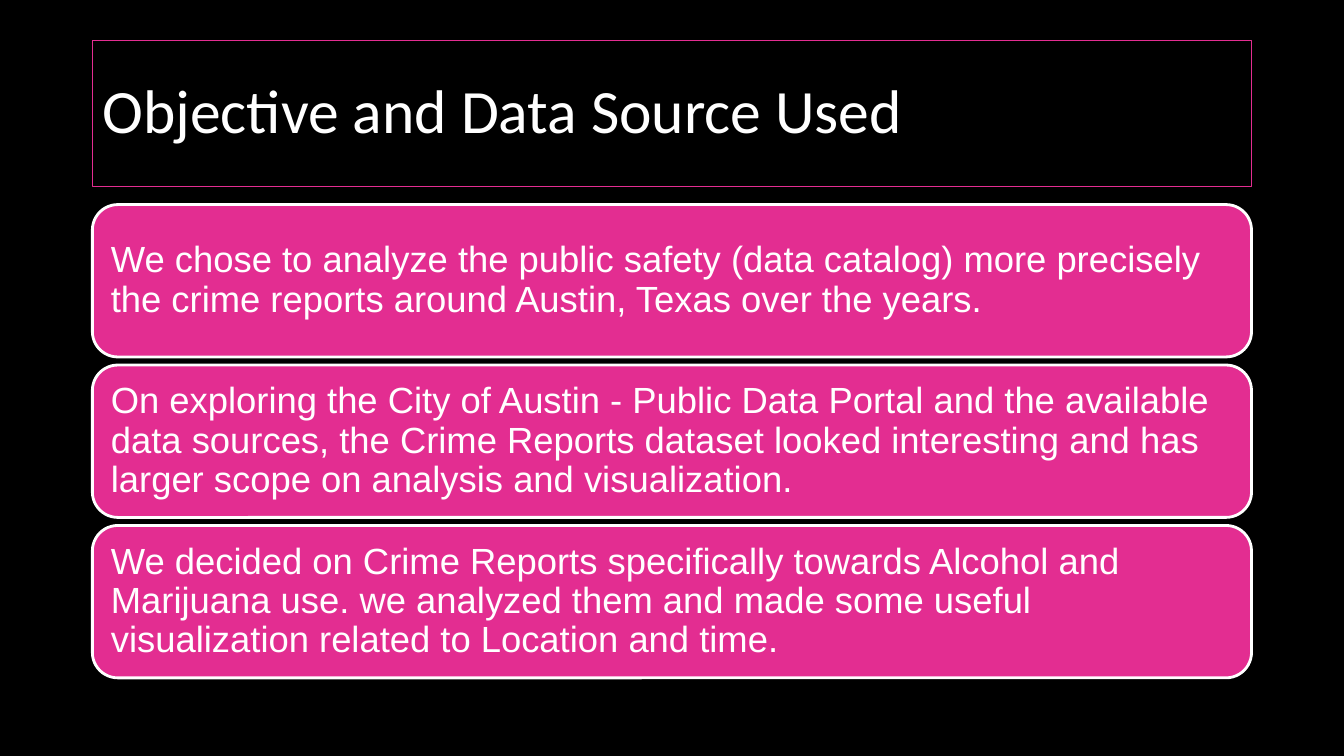
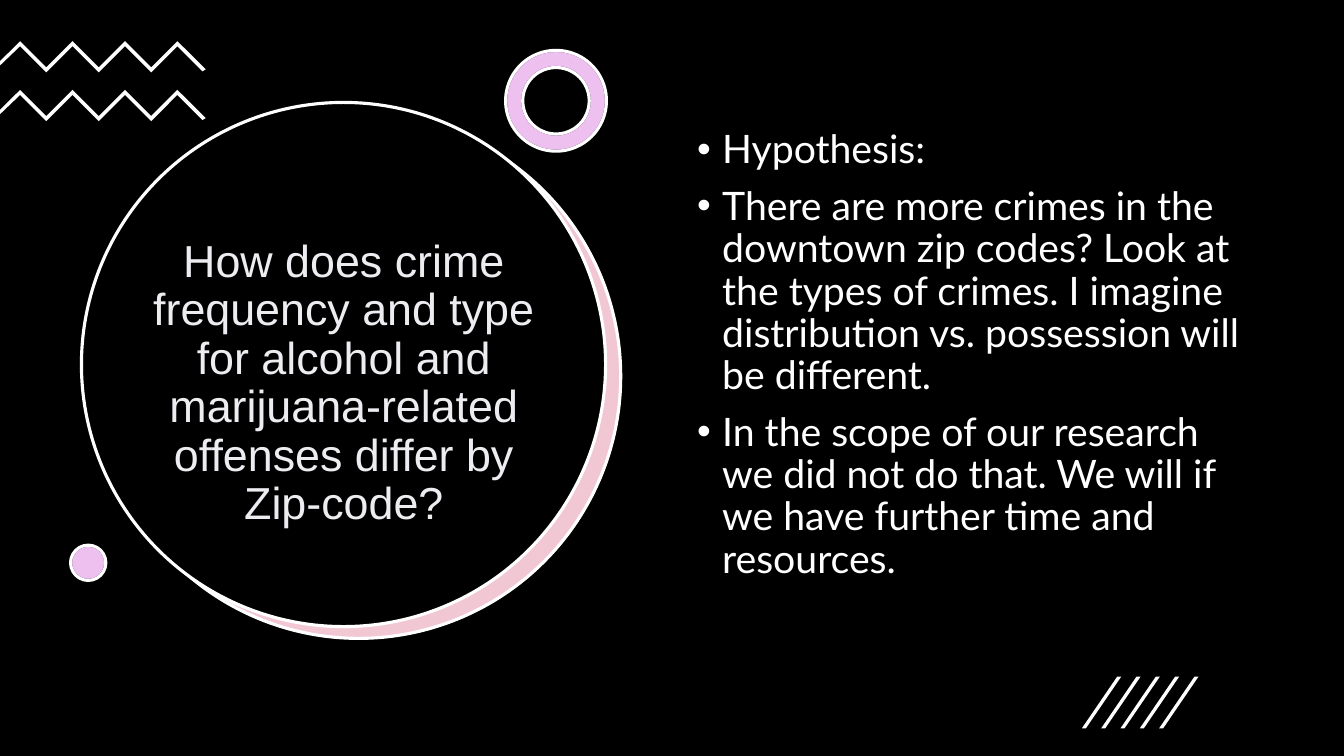
from lxml import etree
from pptx import Presentation
from pptx.dml.color import RGBColor
from pptx.enum.shapes import MSO_SHAPE
from pptx.enum.text import MSO_ANCHOR, MSO_AUTO_SIZE, PP_ALIGN
from pptx.oxml.ns import qn
from pptx.util import Inches, Pt

BLACK = RGBColor(0x00, 0x00, 0x00)
WHITE = RGBColor(0xFF, 0xFF, 0xFF)
MIST = RGBColor(0xEC, 0xEC, 0xF1)
MAGENTA = RGBColor(0xE3, 0x2D, 0x91)
ROSE = RGBColor(0xD5, 0x47, 0x73)
VIOLET = RGBColor(0xC8, 0x30, 0xCC)

ROUNDED = MSO_SHAPE.ROUNDED_RECTANGLE
OVAL = MSO_SHAPE.OVAL
DONUT = MSO_SHAPE.DONUT
LEFT, CENTER = PP_ALIGN.LEFT, PP_ALIGN.CENTER
TOP, MIDDLE = MSO_ANCHOR.TOP, MSO_ANCHOR.MIDDLE
NO_FIT = MSO_AUTO_SIZE.NONE

COLUMNS, ROWS = 160, 90
CELL = Inches(1) // 12
TITLE_ONLY = 5


def cells(*lengths):
    return [round(length * CELL) for length in lengths]


def apply(target, values):
    for name, value in values.items():
        setattr(target, name, value)


class Deck:
    def __init__(self):
        self.presentation = Presentation()
        self.presentation.slide_width = COLUMNS * CELL
        self.presentation.slide_height = ROWS * CELL
        self.slide = None

    def new_slide(self):
        layout = self.presentation.slide_layouts[TITLE_ONLY]
        self.slide = self.presentation.slides.add_slide(layout)
        background = self.slide.background.fill
        background.solid()
        background.fore_color.rgb = BLACK

    def paint(self, shape, fill, line=None, width=2.25, opacity=None):
        shape.shadow.inherit = False
        shape.fill.solid()
        shape.fill.fore_color.rgb = fill
        if opacity is not None:
            tint = shape.element.spPr.find(qn("a:solidFill")).find(qn("a:srgbClr"))
            etree.SubElement(tint, qn("a:alpha"), val=str(opacity * 1000))
        if line is None:
            shape.line.fill.background()
        else:
            shape.line.color.rgb = line
            shape.line.width = Pt(width)

    def shape(self, kind, box, fill, line=None, adjust=None, **style):
        shape = self.slide.shapes.add_shape(kind, *cells(*box))
        if adjust is not None:
            shape.adjustments[0] = adjust
        self.paint(shape, fill, line, **style)
        return shape

    def polygon(self, points):
        start, *rest = [cells(*point) for point in points]
        builder = self.slide.shapes.build_freeform(*start)
        builder.add_line_segments(rest)
        self.paint(builder.convert_to_shape(), WHITE)

    def bullet(self, paragraph):
        properties = paragraph._p.get_or_add_pPr()
        indents = {"marL": Inches(0.25), "indent": -Inches(0.25)}
        for name, value in indents.items():
            properties.set(name, str(value))
        colour = etree.SubElement(properties, qn("a:buClr"))
        etree.SubElement(colour, qn("a:srgbClr"), val=str(WHITE))
        etree.SubElement(properties, qn("a:buFont"), typeface="Arial")
        etree.SubElement(properties, qn("a:buChar"), char="•")

    def set_text(self, frame, texts, font, size, colour=WHITE, align=LEFT,
                 anchor=MIDDLE, bulleted=False):
        apply(frame, {"word_wrap": True, "auto_size": NO_FIT,
                      "vertical_anchor": anchor})
        for index, text in enumerate(texts):
            paragraph = frame.add_paragraph() if index else frame.paragraphs[0]
            if bulleted:
                self.bullet(paragraph)
            apply(paragraph, {"alignment": align, "line_spacing": 0.9,
                              "space_before": Pt(10 if index else 0)})
            run = paragraph.add_run()
            run.text = text
            apply(run.font, {"name": font, "size": Pt(size)})
            run.font.color.rgb = colour

    def title(self, box, text, font, size, **style):
        title = self.slide.shapes.title
        apply(title, dict(zip(("left", "top", "width", "height"), cells(*box))))
        title.element.getparent().append(title.element)
        self.set_text(title.text_frame, [text], font, size, **style)
        return title

    def card(self, box, text):
        frame = self.shape(ROUNDED, box, MAGENTA, WHITE, width=2).text_frame
        apply(frame, {f"margin_{side}": Inches(0.11)
                      for side in ("left", "top", "right", "bottom")})
        self.set_text(frame, [text], "Arial", 26)

    def bullets(self, box, texts):
        frame = self.slide.shapes.add_textbox(*cells(*box)).text_frame
        self.set_text(frame, texts, "Lato", 28, anchor=TOP, bulleted=True)

    def tinted(self, kind, box, adjust=None):
        self.shape(kind, box, WHITE, BLACK, adjust)
        self.shape(kind, box, VIOLET, WHITE, adjust, opacity=30)

    def zigzag(self, top):
        pitch, thickness = 3.12, 0.6
        ridge = [(2.4 + pitch * i, top + pitch * (i % 2)) for i in range(7)]
        tail = [(24.5, top + 3.36), (24.1, top + 3.6)]
        underside = [(x, y + thickness) for x, y in reversed(ridge)]
        self.polygon([(0, top + 2.4), *ridge, *tail, *underside, (0, top + 2.9)])

    def slash(self, left):
        top, bottom, slant, thickness = 80.55, 86.7, 4.2, 0.48
        self.polygon([(left, bottom), (left + slant, top),
                      (left + slant + thickness, top), (left + thickness, bottom)])


def objective(deck):
    deck.new_slide()
    heading = deck.title((11, 4.8, 138, 17.4), "Objective and Data Source Used",
                         "Calibri", 44)
    heading.line.color.rgb = MAGENTA
    heading.line.width = Pt(0.75)
    statements = [
        "We chose to analyze the public safety (data catalog) more precisely "
        "the crime reports around Austin, Texas over the years.",
        "On exploring the City of Austin - Public Data Portal and the available "
        "data sources, the Crime Reports dataset looked interesting and has "
        "larger scope on analysis and visualization.",
        "We decided on Crime Reports specifically towards Alcohol and Marijuana "
        "use. we analyzed them and made some useful visualization related to "
        "Location and time.",
    ]
    for index, statement in enumerate(statements):
        deck.card((11, 24.36 + 19.1 * index, 138, 18.14), statement)


def hypothesis(deck):
    deck.new_slide()
    diameter = 62.4
    deck.shape(OVAL, (11.6, 13.7, diameter, diameter), WHITE)
    deck.shape(OVAL, (11.5, 13.6, diameter, diameter), ROSE, WHITE, opacity=30)
    deck.shape(OVAL, (9.7, 12.2, diameter, diameter), BLACK, WHITE)
    deck.title((14.5, 24.6, 52.9, 42.2),
               "How does crime frequency and type for alcohol and "
               "marijuana-related offenses differ by Zip-code?",
               "Arial", 32, colour=MIST, align=CENTER)
    deck.bullets((81.8, 14.9, 68.5, 57.1), [
        "Hypothesis:",
        "There are more crimes in the downtown zip codes? Look at the types of "
        "crimes. I imagine distribution vs. possession will be different.",
        "In the scope of our research we did not do that. We will if we have "
        "further time and resources.",
    ])
    for top in (4.9, 10.7):
        deck.zigzag(top)
    deck.tinted(DONUT, (60.2, 6, 12, 12), 0.17)
    deck.tinted(OVAL, (8.4, 64.9, 4.2, 4.2))
    for index in range(5):
        deck.slash(128.8 + 2.3 * index)


def main():
    deck = Deck()
    objective(deck)
    hypothesis(deck)
    deck.presentation.save("out.pptx")


if __name__ == "__main__":
    main()
